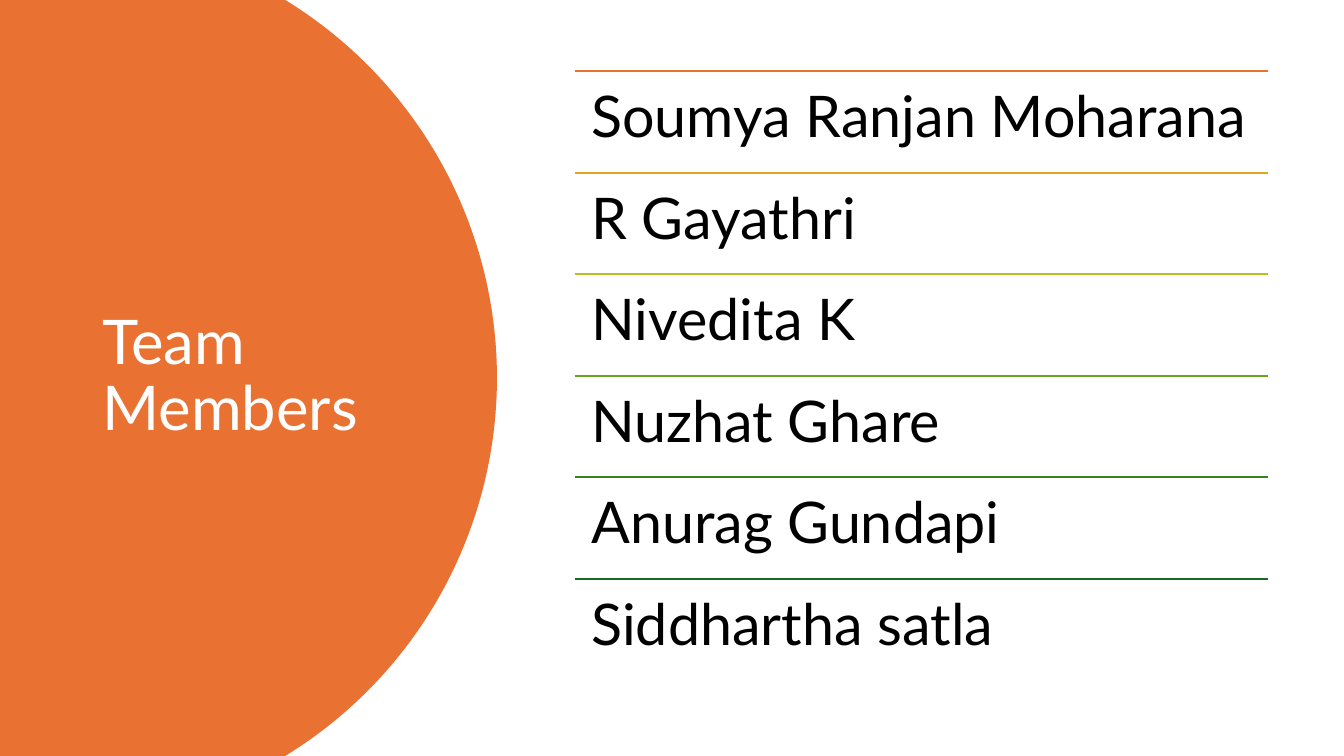
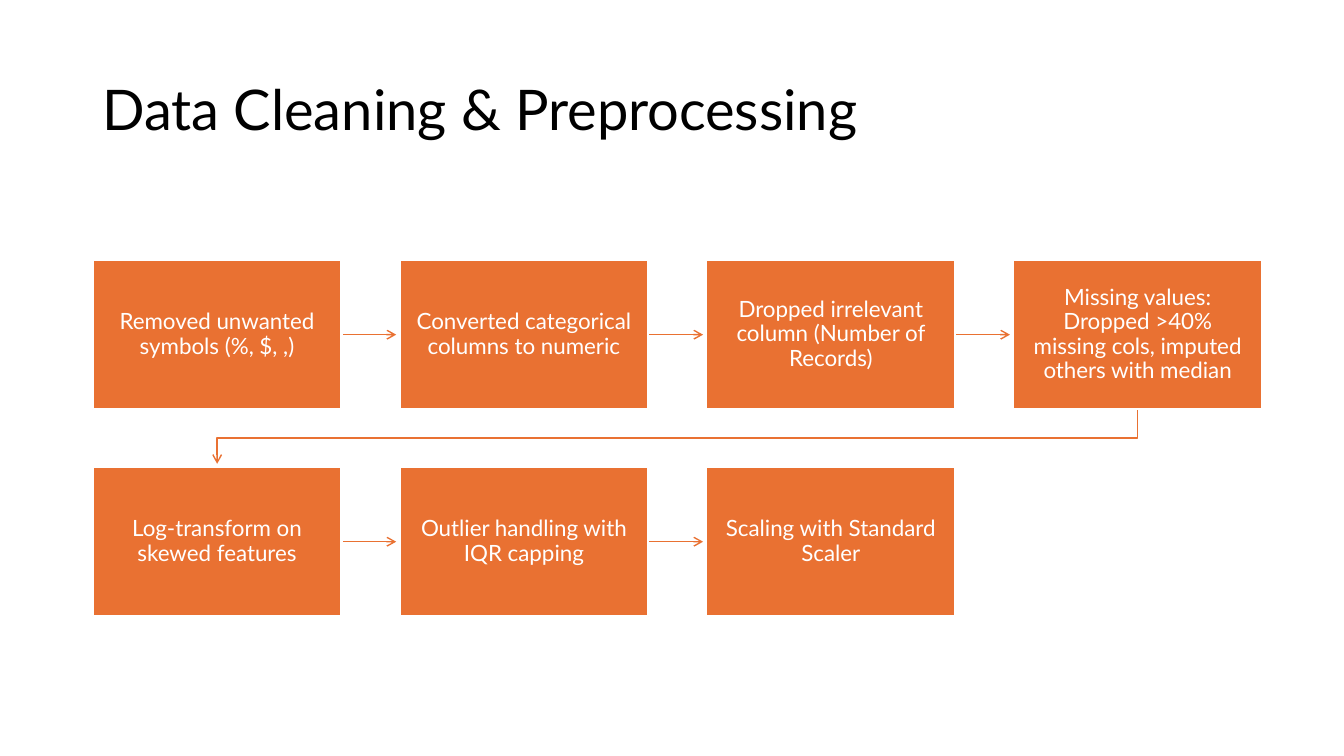
from math import asin, cos, sin

from lxml import etree
from pptx import Presentation
from pptx.dml.color import RGBColor
from pptx.enum.shapes import MSO_CONNECTOR, MSO_SHAPE
from pptx.enum.text import MSO_ANCHOR, MSO_AUTO_SIZE, PP_ALIGN
from pptx.oxml.ns import qn
from pptx.util import Pt

STRAIGHT = MSO_CONNECTOR.STRAIGHT
RECTANGLE = MSO_SHAPE.RECTANGLE
TOP, MIDDLE = MSO_ANCHOR.TOP, MSO_ANCHOR.MIDDLE
LEFT, CENTER = PP_ALIGN.LEFT, PP_ALIGN.CENTER
NO_AUTOFIT = MSO_AUTO_SIZE.NONE

WIDTH, HEIGHT = 960, 540
FONT = "Lato"
ORANGE, WHITE, BLACK = "E97132", "FFFFFF", "000000"
TITLE_ONLY = 5

MEMBERS = [
    ("Soumya Ranjan Moharana", ORANGE),
    ("R Gayathri", "E0A61D"),
    ("Nivedita K", "B7C11E"),
    ("Nuzhat Ghare", "6BA31D"),
    ("Anurag Gundapi", "34861C"),
    ("Siddhartha satla", "196B24"),
]
STEPS = [
    "Removed unwanted symbols (%, $, ,)",
    "Converted categorical columns to numeric",
    "Dropped irrelevant column (Number of Records)",
    "Missing values: Dropped >40% missing cols, imputed others with median",
    "Log-transform on skewed features",
    "Outlier handling with IQR capping",
    "Scaling with Standard Scaler",
]


def color(value):
    return RGBColor.from_string(value)


def write(shape, text, size, ink=BLACK, align=LEFT, anchor=TOP, inset=(7.2, 3.6)):
    frame = shape.text_frame
    frame.word_wrap = True
    frame.auto_size = NO_AUTOFIT
    frame.vertical_anchor = anchor
    frame.margin_left = frame.margin_right = Pt(inset[0])
    frame.margin_top = frame.margin_bottom = Pt(inset[1])
    paragraph = frame.paragraphs[0]
    paragraph.text = text
    paragraph.alignment = align
    paragraph.line_spacing = 0.9
    font = paragraph.font
    font.name, font.size = FONT, Pt(size)
    font.color.rgb = color(ink)


def stroke(shape, value, width, arrow=False):
    shape.line.color.rgb = color(value)
    shape.line.width = Pt(width)
    if arrow:
        etree.SubElement(shape.line._get_or_add_ln(), qn("a:tailEnd"), type="arrow")


def straight(slide, start, end, value, width, arrow=False):
    line = slide.shapes.add_connector(STRAIGHT, *map(Pt, start + end))
    stroke(line, value, width, arrow)
    etree.SubElement(line._element.spPr, qn("a:effectLst"))


def outline(slide, points, close):
    corners = [(Pt(x), Pt(y)) for x, y in points]
    builder = slide.shapes.build_freeform(*corners[0])
    builder.add_line_segments(corners[1:], close=close)
    shape = builder.convert_to_shape()
    shape.shadow.inherit = False
    return shape


def titled_slide(deck, text, box, size, ink):
    slide = deck.slides.add_slide(deck.slide_layouts[TITLE_ONLY])
    title = slide.shapes.title
    title.left, title.top, title.width, title.height = map(Pt, box)
    write(title, text, size, ink, anchor=MIDDLE)
    return slide


def round_panel(slide, right, radius, pieces=120):
    center = right - radius
    half = asin(HEIGHT / 2 / radius)
    angles = [half * (2 * i / pieces - 1) for i in range(pieces + 1)]
    arc = [(center + radius * cos(a), HEIGHT / 2 + radius * sin(a)) for a in angles]
    panel = outline(slide, [(0, 0), *arc, (0, HEIGHT)], True)
    panel.fill.solid()
    panel.fill.fore_color.rgb = color(ORANGE)
    panel.line.fill.background()
    slide.shapes._spTree.insert(2, panel._element)


def member_list(slide, box):
    left, top, width, height = box
    row = height / len(MEMBERS)
    for i, (member, rule) in enumerate(MEMBERS):
        y = top + i * row
        straight(slide, (left, y), (left + width, y), rule, 1.5)
        name = slide.shapes.add_textbox(Pt(left), Pt(y), Pt(width), Pt(row))
        write(name, member, 41, inset=(12, 12))


def process_flow(slide, box, columns=4, rows=2, gap=41.4, clearance=2.4):
    left, top, width, height = box
    step_width = (width - gap * (columns - 1)) / columns
    step_height = (height - gap * (rows - 1)) / rows
    places = [
        (left + i % columns * (step_width + gap), top + i // columns * (step_height + gap))
        for i in range(len(STEPS))
    ]
    for (x, y), (next_x, next_y) in zip(places, places[1:]):
        if y == next_y:
            middle = y + step_height / 2
            start, end = (x + step_width, middle), (next_x - clearance, middle)
            straight(slide, start, end, ORANGE, 1, arrow=True)
        else:
            start_x, end_x = x + step_width / 2, next_x + step_width / 2
            bend = y + step_height + gap / 2
            turn = outline(slide, [
                (start_x, y + step_height), (start_x, bend),
                (end_x, bend), (end_x, next_y - clearance),
            ], False)
            turn.fill.background()
            stroke(turn, ORANGE, 1, arrow=True)
    for text, (x, y) in zip(STEPS, places):
        step = slide.shapes.add_shape(
            RECTANGLE, Pt(x), Pt(y), Pt(step_width), Pt(step_height))
        step.shadow.inherit = False
        step.fill.solid()
        step.fill.fore_color.rgb = color(ORANGE)
        stroke(step, WHITE, 1.5)
        write(step, text, 16, WHITE, CENTER, MIDDLE, (8.7, 9.1))


def team_slide(deck):
    slide = titled_slide(deck, "Team Members", (66, 50.4, 232.6, 438.5), 44, WHITE)
    round_panel(slide, 355, 316.6)
    member_list(slide, (410.4, 50.9, 495.4, 435))


def cleaning_slide(deck):
    slide = titled_slide(
        deck, "Data Cleaning & Preprocessing", (66, 28.8, 828, 103), 40, BLACK)
    process_flow(slide, (66.2, 185.8, 835.4, 254.4))


def main():
    deck = Presentation()
    deck.slide_width, deck.slide_height = Pt(WIDTH), Pt(HEIGHT)
    team_slide(deck)
    cleaning_slide(deck)
    deck.save("out.pptx")


if __name__ == "__main__":
    main()
